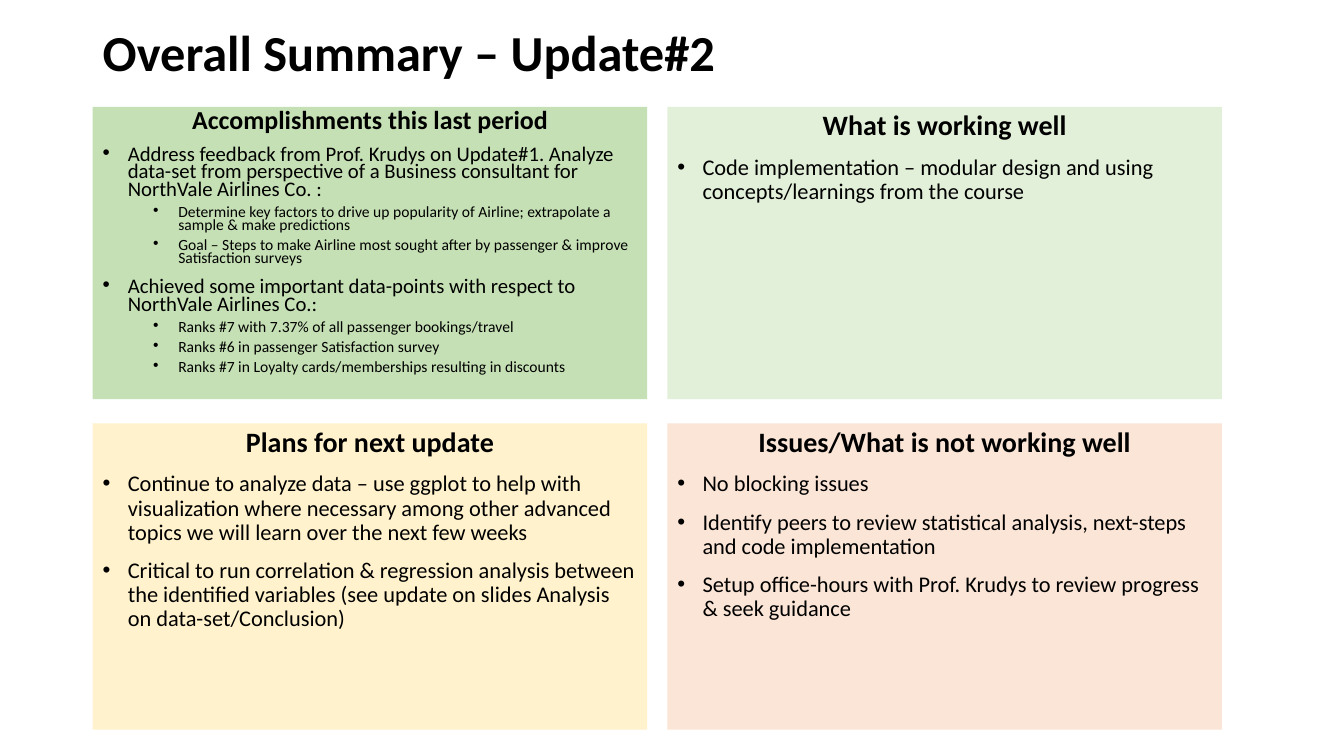
from lxml.etree import SubElement
from pptx import Presentation
from pptx.dml.color import RGBColor
from pptx.enum.shapes import MSO_SHAPE as Shape
from pptx.enum.text import MSO_ANCHOR as Anchor, PP_ALIGN as Align
from pptx.oxml.ns import qn
from pptx.util import Inches, Pt

COLORS = {
    "text": "000000",
    "accomplishments": "C5E0B4",
    "working": "E2F0D9",
    "plans": "FFF2CC",
    "issues": "FBE5D6",
}
LEFT, COLUMN_STEP, PANEL_WIDTH = 0.92, 5.7, 5.5
ROWS = [(1.06, 2.9), (4.2, 3.04)]  # top, height

# Row, column, colour, type scale, line spacing, heading, (level, text) bullets
PANELS = [
    (0, 0, "accomplishments", (18.5, 14.8, 11.1), 0.7, "Accomplishments this last period", [
        (0, "Address feedback from Prof. Krudys on Update#1. Analyze data-set from "
            "perspective of a Business consultant for NorthVale Airlines Co. :"),
        (1, "Determine key factors to drive up popularity of Airline; extrapolate a "
            "sample & make predictions"),
        (1, "Goal – Steps to make Airline most sought after by passenger & improve "
            "Satisfaction surveys"),
        (0, "Achieved some important data-points with respect to NorthVale Airlines Co.:"),
        (1, "Ranks #7 with 7.37% of all passenger bookings/travel"),
        (1, "Ranks #6 in passenger Satisfaction survey"),
        (1, "Ranks #7 in Loyalty cards/memberships resulting in discounts"),
    ]),
    (1, 0, "plans", (20, 16), 0.9, "Plans for next update", [
        (0, "Continue to analyze data – use ggplot to help with visualization where "
            "necessary among other advanced topics we will learn over the next few weeks"),
        (0, "Critical to run correlation & regression analysis between the identified "
            "variables (see update on slides Analysis on data-set/Conclusion)"),
    ]),
    (0, 1, "working", (20, 16), 0.9, "What is working well", [
        (0, "Code implementation – modular design and using concepts/learnings from the course"),
    ]),
    (1, 1, "issues", (20, 16), 0.9, "Issues/What is not working well", [
        (0, "No blocking issues"),
        (0, "Identify peers to review statistical analysis, next-steps and code implementation"),
        (0, "Setup office-hours with Prof. Krudys to review progress & seek guidance"),
    ]),
]


class SummaryPage:
    font_name = "Calibri"

    def __init__(self, page):
        self.page = page

    def set_text(self, para, text, size, spacing, bold=False):
        para.text = text
        para.line_spacing = spacing
        para.font.name = self.font_name
        para.font.size = Pt(size)
        para.font.bold = bold
        para.font.color.rgb = RGBColor.from_string(COLORS["text"])

    def title(self, text):
        box = self.page.shapes.add_textbox(
            Inches(LEFT), Inches(0.14), Inches(11.21), Inches(0.82))
        frame = box.text_frame
        frame.word_wrap = True
        frame.vertical_anchor = Anchor.MIDDLE
        self.set_text(frame.paragraphs[0], text, 36, 0.9, bold=True)

    def bullet(self, frame, text, level, size, spacing):
        para = frame.add_paragraph()
        para.level = level
        para.alignment = Align.LEFT
        para.line_spacing = spacing
        para.space_before = Pt(5 if level else 10)
        properties = para._p.get_or_add_pPr()
        properties.set("marL", str(Inches(0.25 + 0.5 * level)))
        properties.set("indent", str(Inches(-0.25)))
        SubElement(properties, qn("a:buFont")).set("typeface", "Arial")
        SubElement(properties, qn("a:buChar")).set("char", "•")
        self.set_text(para, text, size, spacing)

    def panel(self, row, column, color, sizes, spacing, heading, bullets):
        top, height = ROWS[row]
        box = self.page.shapes.add_shape(
            Shape.RECTANGLE, Inches(LEFT + column * COLUMN_STEP), Inches(top),
            Inches(PANEL_WIDTH), Inches(height))
        box.shadow.inherit = False
        box.fill.solid()
        box.fill.fore_color.rgb = RGBColor.from_string(COLORS[color])
        box.line.fill.background()
        frame = box.text_frame
        frame.word_wrap = True
        frame.vertical_anchor = Anchor.TOP
        heading_size, *bullet_sizes = sizes
        para = frame.paragraphs[0]
        para.alignment = Align.CENTER
        self.set_text(para, heading, heading_size, spacing, bold=True)
        for level, text in bullets:
            self.bullet(frame, text, level, bullet_sizes[level], spacing)


def main():
    deck = Presentation()
    deck.slide_width, deck.slide_height = Inches(13.33), Inches(7.5)
    summary = SummaryPage(deck.slides.add_slide(deck.slide_layouts[6]))
    summary.title("Overall Summary – Update#2")
    for panel in PANELS:
        summary.panel(*panel)
    deck.save("out.pptx")


if __name__ == "__main__":
    main()
